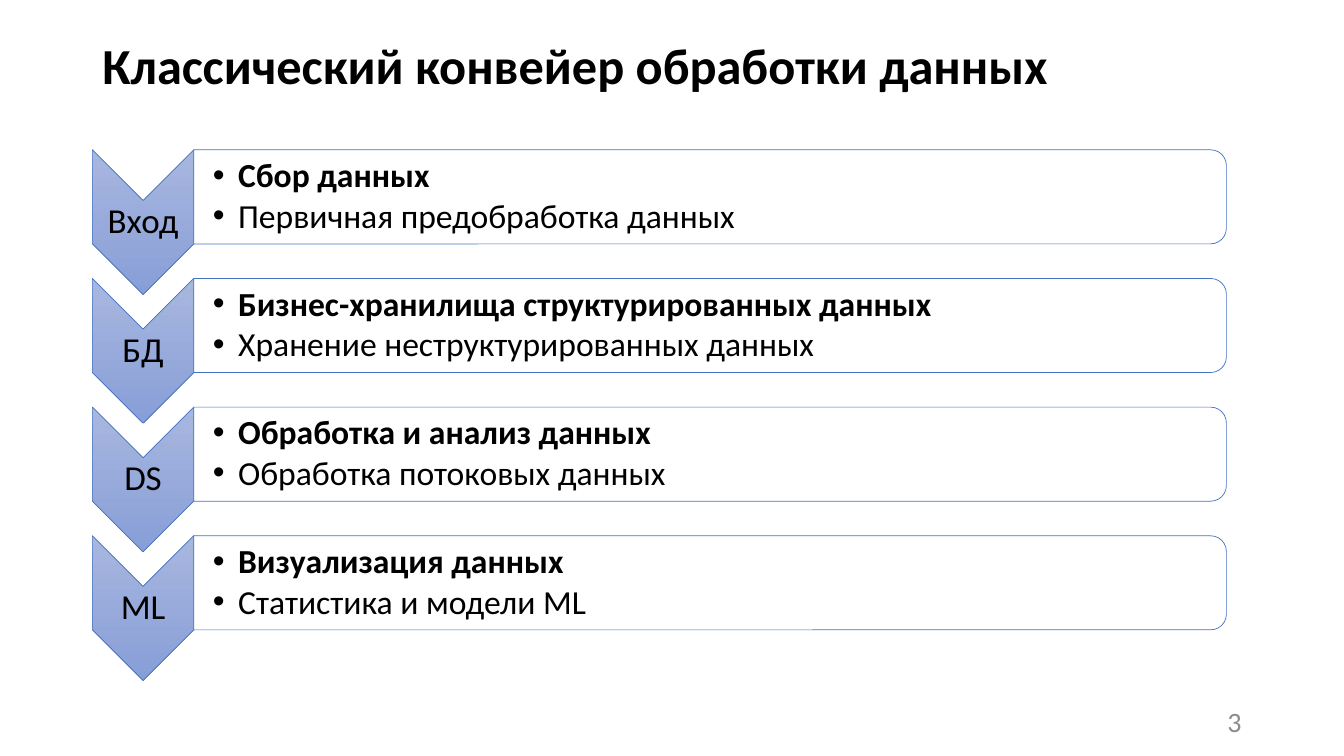
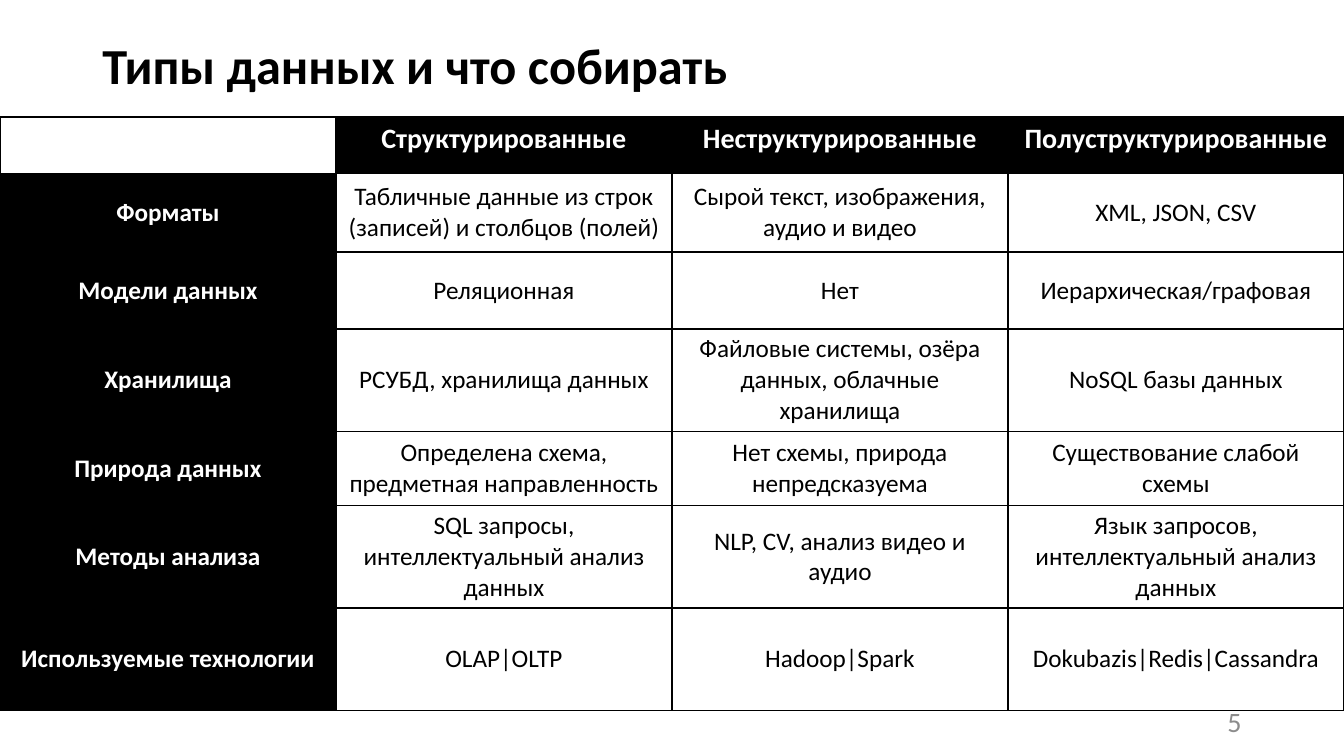
from lxml import etree
from pptx import Presentation
from pptx.dml.color import RGBColor
from pptx.enum.shapes import MSO_SHAPE
from pptx.enum.text import MSO_ANCHOR, PP_ALIGN
from pptx.oxml.ns import qn
from pptx.util import Pt

CHEVRON = MSO_SHAPE.CHEVRON
ROUNDED_BAR = MSO_SHAPE.ROUND_2_SAME_RECTANGLE
TOP = MSO_ANCHOR.TOP
MIDDLE = MSO_ANCHOR.MIDDLE
LEFT = PP_ALIGN.LEFT
CENTER = PP_ALIGN.CENTER
RIGHT = PP_ALIGN.RIGHT

FONT = "Calibri"
SLIDE_WIDTH, SLIDE_HEIGHT = 960, 540
COLORS = {
    "black": "000000",
    "white": "FFFFFF",
    "number": "8C8C8C",
    "outline": "4472C4",
    "chevron_light": "A8B7DF",
    "chevron_dark": "889ED7",
}

STAGES = [
    ("Вход", "Сбор данных", "Первичная предобработка данных"),
    ("БД", "Бизнес-хранилища структурированных данных", "Хранение неструктурированных данных"),
    ("DS", "Обработка и анализ данных", "Обработка потоковых данных"),
    ("ML", "Визуализация данных", "Статистика и модели ML"),
]

DATA_TYPES = [
    ("", "Структурированные", "Неструктурированные", "Полуструктурированные"),
    ("Форматы", "Табличные данные из строк (записей) и столбцов (полей)",
     "Сырой текст, изображения, аудио и видео", "XML, JSON, CSV"),
    ("Модели данных", "Реляционная", "Нет", "Иерархическая/графовая"),
    ("Хранилища", "РСУБД, хранилища данных",
     "Файловые системы, озёра данных, облачные хранилища", "NoSQL базы данных"),
    ("Природа данных", "Определена схема, предметная направленность",
     "Нет схемы, природа непредсказуема", "Существование слабой схемы"),
    ("Методы анализа", "SQL запросы, интеллектуальный анализ данных",
     "NLP, CV, анализ видео и аудио", "Язык запросов, интеллектуальный анализ данных"),
    ("Используемые технологии", "OLAP|OLTP", "Hadoop|Spark", "Dokubazis|Redis|Cassandra"),
]
ROW_HEIGHTS = [40.3, 56.2, 55, 73, 53.3, 73, 73]


def color(name):
    return RGBColor.from_string(COLORS[name])


def add_run(paragraph, text, size, color_name="black", bold=False):
    run = paragraph.add_run()
    run.text = text
    run.font.name = FONT
    run.font.size = Pt(size)
    run.font.bold = bold
    run.font.color.rgb = color(color_name)


def add_text_frame(slide, left, top, width, height, insets=(7.2, 3.6, 7.2, 3.6)):
    box = slide.shapes.add_textbox(Pt(left), Pt(top), Pt(width), Pt(height))
    frame = box.text_frame
    frame.word_wrap = True
    frame.vertical_anchor = MIDDLE
    frame.margin_left, frame.margin_top, frame.margin_right, frame.margin_bottom = map(Pt, insets)
    return frame


def add_label(slide, box, text, size, alignment, color_name="black", bold=False,
              line_spacing=0.9, **frame_options):
    paragraph = add_text_frame(slide, *box, **frame_options).paragraphs[0]
    paragraph.alignment = alignment
    paragraph.line_spacing = line_spacing
    add_run(paragraph, text, size, color_name, bold)


def add_bullet(paragraph):
    properties = paragraph._p.get_or_add_pPr()
    properties.set("marL", str(Pt(18)))
    properties.set("indent", str(Pt(-18)))
    etree.SubElement(properties, qn("a:buFont"), typeface="Arial")
    etree.SubElement(properties, qn("a:buChar"), char="•")


def add_turned_shape(slide, kind, left, top, width, height):
    shape = slide.shapes.add_shape(
        kind,
        Pt(left + (width - height) / 2), Pt(top + (height - width) / 2),
        Pt(height), Pt(width),
    )
    shape.rotation = 90
    shape.shadow.inherit = False
    shape.line.color.rgb = color("outline")
    shape.line.width = Pt(0.5)
    return shape


def add_chevron(slide, left, top, width, height, label):
    chevron = add_turned_shape(slide, CHEVRON, left, top, width, height)
    chevron.fill.gradient()
    chevron.fill.gradient_angle = 270
    for stop, name in zip(chevron.fill.gradient_stops, ("chevron_light", "chevron_dark")):
        stop.color.rgb = color(name)
    chevron._element.spPr.find(qn("a:gradFill")).set("rotWithShape", "0")
    label_height = 31
    label_box = (left, top + (height - label_height) / 2, width, label_height)
    add_label(slide, label_box, label, 25, CENTER, insets=(1.4,) * 4)


def add_stage_bar(slide, left, top, width, height, lines):
    bar = add_turned_shape(slide, ROUNDED_BAR, left, top, width, height)
    bar.fill.solid()
    bar.fill.fore_color.rgb = color("white")
    frame = add_text_frame(slide, left, top, width, height, insets=(13.7, 1.4, 1.4, 1.4))
    for index, line in enumerate(lines):
        paragraph = frame.add_paragraph() if index else frame.paragraphs[0]
        add_bullet(paragraph)
        paragraph.alignment = LEFT
        paragraph.line_spacing = 0.9
        paragraph.space_after = Pt(3)
        add_run(paragraph, line, 24, bold=index == 0)


def add_pipeline(slide, left, top, width, pitch):
    chevron_width, chevron_height, bar_height = 72.4, 103.4, 67.2
    for index, (label, *lines) in enumerate(STAGES):
        stage_top = top + index * pitch
        add_chevron(slide, left, stage_top, chevron_width, chevron_height, label)
        add_stage_bar(slide, left + chevron_width, stage_top,
                      width - chevron_width, bar_height, lines)


def set_borders(cell):
    properties = cell._tc.get_or_add_tcPr()
    for index, side in enumerate(("a:lnL", "a:lnR", "a:lnT", "a:lnB")):
        border = etree.Element(qn(side), w=str(Pt(1)))
        fill = etree.SubElement(border, qn("a:solidFill"))
        etree.SubElement(fill, qn("a:srgbClr"), val=COLORS["black"])
        properties.insert(index, border)


def add_data_table(slide, left, top, width):
    column_count = len(DATA_TYPES[0])
    table = slide.shapes.add_table(
        len(DATA_TYPES), column_count, Pt(left), Pt(top), Pt(width), Pt(sum(ROW_HEIGHTS))
    ).table
    for column in table.columns:
        column.width = Pt(width / column_count)
    for row_index, (height, texts) in enumerate(zip(ROW_HEIGHTS, DATA_TYPES)):
        table.rows[row_index].height = Pt(height)
        for column_index, text in enumerate(texts):
            cell = table.cell(row_index, column_index)
            is_heading = (row_index == 0) != (column_index == 0)
            cell.fill.solid()
            cell.fill.fore_color.rgb = color("black" if is_heading else "white")
            cell.vertical_anchor = MIDDLE if row_index else TOP
            set_borders(cell)
            if text:
                paragraph = cell.text_frame.paragraphs[0]
                paragraph.alignment = CENTER
                add_run(paragraph, text, 18 if row_index else 20,
                        "white" if is_heading else "black", is_heading)


def add_titled_slide(presentation, title, number):
    slide = presentation.slides.add_slide(presentation.slide_layouts[6])
    add_label(slide, (66, 6, 828, 86), title, 36, LEFT, bold=True)
    add_label(slide, (678, 500.5, 216, 28.8), number, 20, RIGHT, "number", line_spacing=1.0)
    return slide


def main():
    presentation = Presentation()
    presentation.slide_width = Pt(SLIDE_WIDTH)
    presentation.slide_height = Pt(SLIDE_HEIGHT)

    pipeline_slide = add_titled_slide(presentation, "Классический конвейер обработки данных", "3")
    add_pipeline(pipeline_slide, 66, 107, 810, 91.9)

    types_slide = add_titled_slide(presentation, "Типы данных и что собирать", "5")
    add_data_table(types_slide, 0, 83.5, SLIDE_WIDTH)

    presentation.save("out.pptx")


if __name__ == "__main__":
    main()
